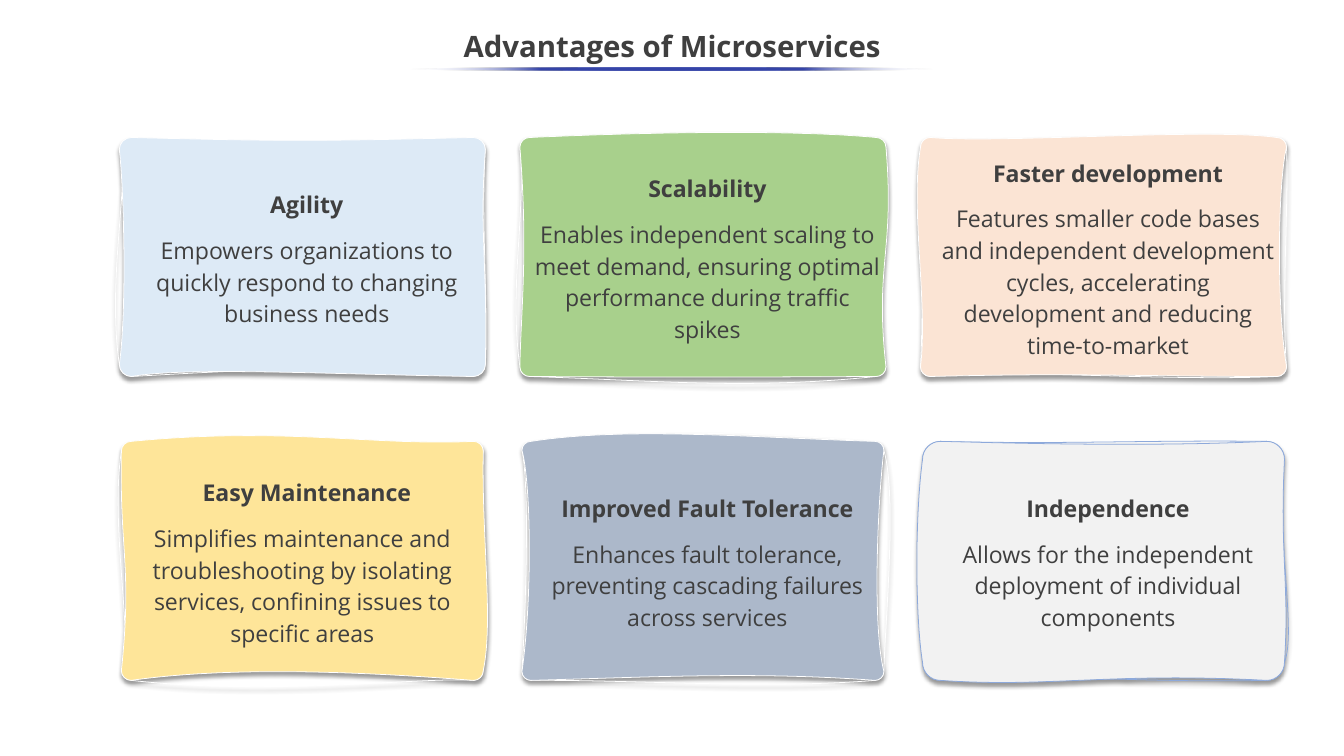
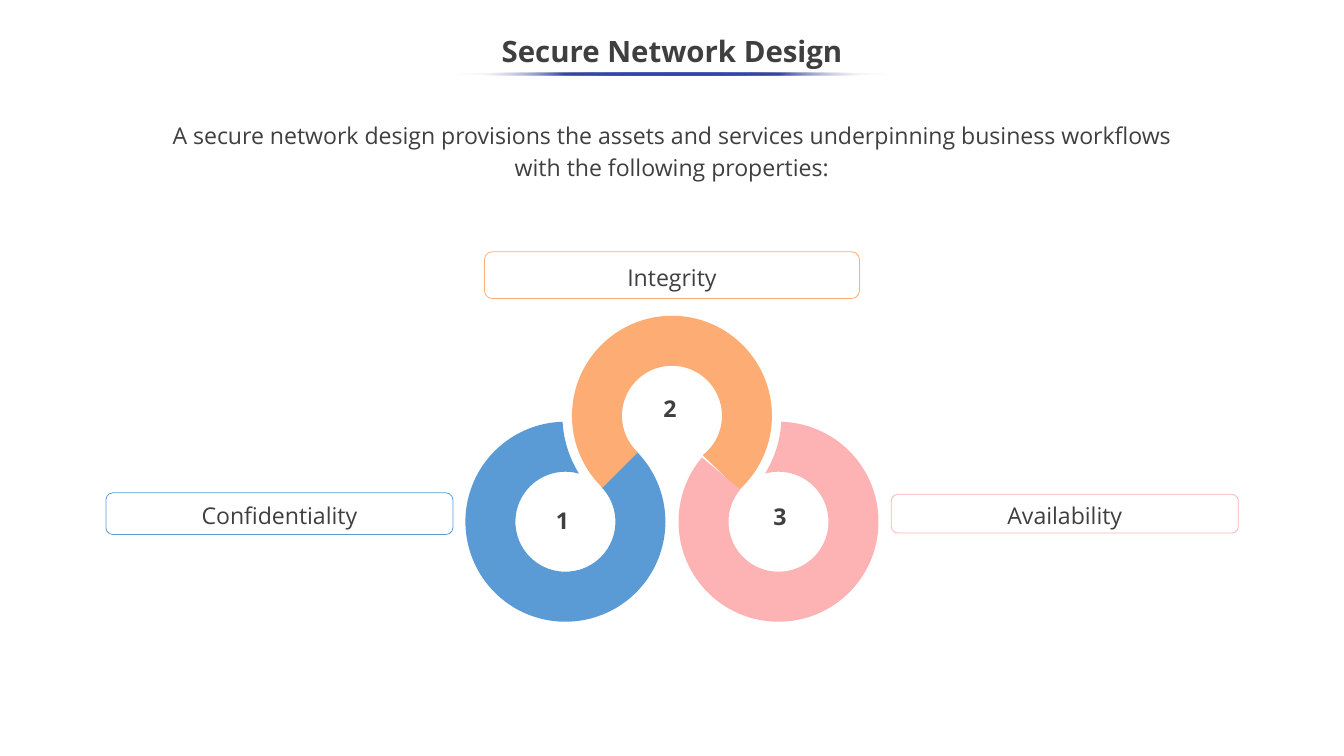
from copy import deepcopy
from dataclasses import dataclass
from math import ceil, cos, radians, sin, tan

from pptx import Presentation
from pptx.dml.color import RGBColor
from pptx.enum.shapes import MSO_SHAPE as Preset
from pptx.enum.text import MSO_ANCHOR as Anchor, PP_ALIGN as Align
from pptx.oxml import parse_xml
from pptx.oxml.ns import nsdecls
from pptx.util import Cm, Pt

COLORS = {
    "text": "3F3F3F", "white": "FFFFFF", "rule": "3645A9", "shadow": "000000",
    "sky": "DDEAF6", "green": "A8D08C", "peach": "FBE4D4", "yellow": "FEE599",
    "slate": "ACB8CA", "mist": "F2F2F2", "edge": "8DA9DB",
    "blue": "5B9BD5", "orange": "FDAD73", "pink": "FDB3B4",
}
FONT = "Open Sans"
SLIDE_WIDTH, SLIDE_HEIGHT = Cm(45.16), Cm(25.4)
GRID = Cm(2.54)
LOOSE = 1.14
CORNER_PULL = 0.45

Point = tuple[float, float]
Bends = list[Point]


@dataclass
class Box:
    left: float
    top: float
    width: float
    height: float

    def lengths(self) -> tuple:
        return Cm(self.left), Cm(self.top), Cm(self.width), Cm(self.height)


@dataclass
class Advantage:
    heading: str
    detail: str
    color: str
    radius: float
    outline: Bends
    body: Bends
    edge: str = "white"
    detail_indent: float = 0.3


@dataclass
class Arc:
    center: Point
    radius: float
    start: float
    end: float


@dataclass
class Property:
    name: str
    color: str
    label: Box
    number_at: Point
    ring: Box
    arcs: list[Arc]


ADVANTAGES = [
    Advantage(
        "Agility", "Empowers organizations to quickly respond to changing business needs",
        "sky", 0.41,
        [(2.49, 1.94), (5.28, 1.84), (6.36, 2.86), (6.46, 4), (4.01, 4.83), (3.22, 4.9), (1.41, 3.67), (1.73, 2.33)],
        [(3.79, 1.87), (4.13, 1.87), (6.34, 3.08), (6.45, 3.46), (4.32, 4.95), (2.49, 4.85), (1.68, 4.12), (1.64, 2.49)]),
    Advantage(
        "Scalability",
        "Enables independent scaling to meet demand, ensuring optimal performance during traffic spikes",
        "green", 0.33,
        [(8.02, 1.75), (10.76, 1.93), (11.76, 2.47), (11.56, 4.42), (9.86, 5.16), (8.65, 5.03), (6.73, 3.8), (6.96, 2.84)],
        [(8.75, 1.74), (10.53, 1.72), (11.84, 3.33), (11.57, 3.48), (9.9, 4.99), (8.48, 4.99), (6.89, 4.13), (6.99, 3.32)]),
    Advantage(
        "Faster development",
        "Features smaller code bases and independent development cycles, accelerating development "
        "and reducing time-to-market",
        "peach", 0.33,
        [(13.91, 1.92), (15.3, 1.85), (17.05, 2.74), (16.95, 3.97), (15.42, 5.05), (12.91, 4.86), (12.22, 4.07), (12.18, 3.3)],
        [(13.23, 1.9), (16, 1.69), (16.91, 2.38), (16.88, 4.01), (14.98, 4.98), (14.32, 4.93), (12.28, 4.04), (12.04, 2.76)]),
    Advantage(
        "Easy Maintenance",
        "Simplifies maintenance and troubleshooting by isolating services, confining issues to specific areas",
        "yellow", 0.33,
        [(3.59, 5.8), (4.34, 5.98), (6.23, 6.74), (6.46, 7.46), (5.63, 8.95), (3.61, 9.21), (1.78, 8.55), (1.45, 6.97)],
        [(3.78, 5.64), (4.91, 5.9), (6.37, 7.1), (6.53, 8.21), (4.98, 8.9), (3.13, 8.8), (1.75, 7.48), (1.58, 7.32)],
        detail_indent=0),
    Advantage(
        "Improved Fault Tolerance", "Enhances fault tolerance, preventing cascading failures across services",
        "slate", 0.3,
        [(8.37, 5.71), (9.36, 5.68), (11.87, 6.57), (11.71, 8.2), (10.12, 9.12), (8.4, 8.99), (6.94, 8.33), (7.02, 6.51)],
        [(8.29, 5.64), (9.99, 5.79), (11.61, 6.66), (11.54, 8.28), (10, 8.88), (8.53, 8.96), (7.05, 7.84), (7.02, 6.37)]),
    Advantage(
        "Independence", "Allows for the independent deployment of individual components",
        "mist", 0.6,
        [(14.11, 5.88), (15.06, 5.82), (16.89, 7.26), (17.15, 8.34), (14.82, 9.04), (13.36, 8.87), (12.2, 7.68), (12.27, 6.78)],
        [(12.98, 5.85), (15.07, 5.92), (16.93, 7.36), (17.06, 7.74), (14.68, 8.89), (13.88, 9.1), (12.11, 8.19), (12.1, 6.85)],
        edge="edge"),
]

LEFT_HUB, TOP_HUB, RIGHT_HUB = (19, 17.53), (22.58, 13.97), (26.16, 17.53)
OUTER, INNER, GAP = 3.36, 1.68, 3.68

PROPERTIES = [
    Property(
        "Confidentiality", "blue", Box(3.56, 16.56, 11.66, 1.4), (17.73, 16.87), Box(15.64, 14.17, 6.72, 6.72),
        [Arc(LEFT_HUB, OUTER, -92, -405), Arc(LEFT_HUB, INNER, -405, -74), Arc(TOP_HUB, GAP, 148, 177)]),
    Property(
        "Integrity", "orange", Box(16.28, 8.46, 12.6, 1.57), (21.34, 13.11), Box(19.22, 10.61, 6.72, 5.87),
        [Arc(TOP_HUB, OUTER, 48, -226), Arc(TOP_HUB, INNER, -227, 52)]),
    Property(
        "Availability", "pink", Box(29.95, 16.61, 11.66, 1.3), (25.04, 16.76), Box(22.8, 14.17, 6.72, 6.72),
        [Arc(RIGHT_HUB, OUTER, -88, 220), Arc(RIGHT_HUB, INNER, 220, -106), Arc(TOP_HUB, GAP, 32, 3)]),
]


def rgb(name: str) -> RGBColor:
    return RGBColor.from_string(COLORS[name])


def write(paragraph, text: str, size: float = 22, bold: bool = False, spacing: float = LOOSE) -> None:
    paragraph.text = text
    paragraph.alignment = Align.CENTER
    paragraph.line_spacing = spacing
    font = paragraph.font
    font.name, font.size, font.bold = FONT, Pt(size), bold
    font.color.rgb = rgb("text")


def add_text(slide, box: Box, text: str, anchor=Anchor.TOP, inset_top: float = 0.13, **style) -> None:
    frame = slide.shapes.add_textbox(*box.lengths()).text_frame
    frame.word_wrap = True
    frame.vertical_anchor = anchor
    frame.margin_top = Cm(inset_top)
    write(frame.paragraphs[0], text, **style)


def add_title(slide, text: str, top: float, rule_width: float) -> None:
    add_text(slide, Box(0, top, 45.16, 1.91), text, Anchor.MIDDLE, size=28, bold=True, spacing=0.9)
    width = Cm(rule_width)
    rule = slide.shapes.add_shape(
        Preset.OVAL, (SLIDE_WIDTH - width) // 2, Cm(top + 1.62), width, Cm(0.1))
    rule.shadow.inherit = False
    rule.line.fill.background()
    rule.fill.gradient()
    rule.fill.gradient_angle = 180
    stops = rule._element.xpath(".//a:gsLst")[0]
    for stop in list(stops):
        stops.remove(stop)
    for percent in range(0, 101, 25):
        at_end = percent in (0, 100)
        color = COLORS["white" if at_end else "rule"]
        alpha = '<a:alpha val="0"/>' if at_end else ""
        stops.append(parse_xml(
            f'<a:gs {nsdecls("a")} pos="{percent * 1000}">'
            f'<a:srgbClr val="{color}">{alpha}</a:srgbClr></a:gs>'))


def wavy_contour(box: Box, radius: float, bends: Bends) -> list[Point]:
    left, top, width, height = box.lengths()
    right, bottom, r = left + width, top + height, Cm(radius)
    corners = [
        ((left, top + r), (left, top), (left + r, top)),
        ((right - r, top), (right, top), (right, top + r)),
        ((right, bottom - r), (right, bottom), (right - r, bottom)),
        ((left + r, bottom), (left, bottom), (left, bottom - r)),
    ]
    scaled = [(x * GRID, y * GRID) for x, y in bends]
    points = [corners[0][0]]
    for side, (enter, tip, leave) in enumerate(corners):
        points += [
            tuple(t + (p - t) * CORNER_PULL for p, t in zip(point, tip))
            for point in (enter, leave)]
        points += [leave, *scaled[2 * side:2 * side + 2], corners[(side + 1) % 4][0]]
    return points


def arc_points(arc: Arc) -> list[Point]:
    pieces = ceil(abs(arc.end - arc.start) / 90)
    step = radians(arc.end - arc.start) / pieces
    pull = 4 / 3 * tan(step / 4)

    def place(angle: float, along: float = 0) -> Point:
        x = arc.center[0] + arc.radius * (cos(angle) - along * sin(angle))
        y = arc.center[1] + arc.radius * (sin(angle) + along * cos(angle))
        return Cm(x), Cm(y)

    angle = radians(arc.start)
    points = [place(angle)]
    for _ in range(pieces):
        points += [place(angle, pull), place(angle + step, -pull), place(angle + step)]
        angle += step
    return points


def ring_contour(arcs: list[Arc]) -> list[Point]:
    first, *others = [arc_points(arc) for arc in arcs]
    points = list(first)
    for following in [*others, first[:1]]:
        points += [points[-1], following[0], *following]
    return points


def add_curves(slide, box: Box, *contours: list[Point]):
    rounded = [[(round(x), round(y)) for x, y in contour] for contour in contours]
    builder = slide.shapes.build_freeform(*rounded[0][0])
    for index, contour in enumerate(rounded):
        if index:
            builder.move_to(*contour[0])
        builder.add_line_segments(contour[1:], close=True)
    shape = builder.convert_to_shape()
    left, top, width, height = box.lengths()
    geometry = shape._element.xpath(".//a:path")[0]
    for point in geometry.xpath(".//a:pt"):
        point.set("x", str(int(point.get("x")) + shape.left - left))
        point.set("y", str(int(point.get("y")) + shape.top - top))
    lines = geometry.xpath("./a:lnTo")
    for start in range(0, len(lines), 3):
        curve = parse_xml(f'<a:cubicBezTo {nsdecls("a")}/>')
        lines[start].addprevious(curve)
        for line in lines[start:start + 3]:
            curve.append(line[0])
            geometry.remove(line)
    geometry.set("w", str(width))
    geometry.set("h", str(height))
    shape.left, shape.top, shape.width, shape.height = left, top, width, height
    shape.shadow.inherit = False
    shape.fill.solid()
    return shape


def unfill_first_contour(shape) -> None:
    body = shape._element.xpath(".//a:path")[0]
    outline = deepcopy(body)
    half = len(body) // 2
    for node in outline[half:]:
        outline.remove(node)
    for node in body[:half]:
        body.remove(node)
    outline.set("fill", "none")
    body.addprevious(outline)


def add_card(slide, box: Box, advantage: Advantage) -> None:
    card = add_curves(slide, box, *(
        wavy_contour(box, advantage.radius, bends) for bends in (advantage.outline, advantage.body)))
    unfill_first_contour(card)
    card.fill.fore_color.rgb = rgb(advantage.color)
    card.line.color.rgb = rgb(advantage.edge)
    card.line.width = Pt(0.75)
    card._element.xpath("./p:spPr/a:effectLst")[0].append(parse_xml(
        f'<a:outerShdw {nsdecls("a")} blurRad="{Pt(4)}" dist="{Pt(3)}" dir="5400000" '
        f'algn="t" rotWithShape="0"><a:srgbClr val="{COLORS["shadow"]}">'
        '<a:alpha val="40000"/></a:srgbClr></a:outerShdw>'))

    frame = card.text_frame
    frame.word_wrap = True
    frame.vertical_anchor = Anchor.MIDDLE
    frame.margin_left = frame.margin_top = frame.margin_right = frame.margin_bottom = Cm(0.13)
    heading, detail = frame.paragraphs[0], frame.add_paragraph()
    for paragraph, indent in ((heading, 0.3), (detail, advantage.detail_indent)):
        paragraph._p.get_or_add_pPr().set("marL", str(Cm(indent)))
    write(heading, advantage.heading, bold=True)
    write(detail, advantage.detail)
    detail.space_before = Pt(13.6)


def add_label(slide, item: Property) -> None:
    label = slide.shapes.add_shape(Preset.ROUNDED_RECTANGLE, *item.label.lengths())
    label.shadow.inherit = False
    label.fill.background()
    label.line.color.rgb = rgb(item.color)
    label.line.width = Pt(0.75)
    label.text_frame.word_wrap = True
    label.text_frame.vertical_anchor = Anchor.MIDDLE
    write(label.text_frame.paragraphs[0], item.name)


def add_ring(slide, item: Property) -> None:
    ring = add_curves(slide, item.ring, ring_contour(item.arcs))
    ring.fill.fore_color.rgb = rgb(item.color)
    ring.line.fill.background()


def build_advantages(slide) -> None:
    add_title(slide, "Advantages of Microservices", 0.64, 17.55)
    for index, advantage in enumerate(ADVANTAGES):
        row, column = divmod(index, 3)
        box = Box(4.01 + 13.46 * column + 0.07 * row, 4.62 + 10.21 * row, 12.3 - 0.14 * row, 8.03)
        add_card(slide, box, advantage)


def build_network_design(slide) -> None:
    add_title(slide, "Secure Network Design", 0.81, 14.33)
    add_text(
        slide, Box(5.28, 3.96, 34.59, 2.59),
        "A secure network design provisions the assets and services underpinning business workflows "
        "with the following properties:", inset_top=0)
    for number, item in enumerate(PROPERTIES, 1):
        add_label(slide, item)
        add_ring(slide, item)
        add_text(slide, Box(*item.number_at, 2.34, 1.19), str(number), bold=True, spacing=1.0)


def main() -> None:
    deck = Presentation()
    deck.slide_width, deck.slide_height = SLIDE_WIDTH, SLIDE_HEIGHT
    for build in (build_advantages, build_network_design):
        build(deck.slides.add_slide(deck.slide_layouts[6]))
    deck.save("out.pptx")


if __name__ == "__main__":
    main()
